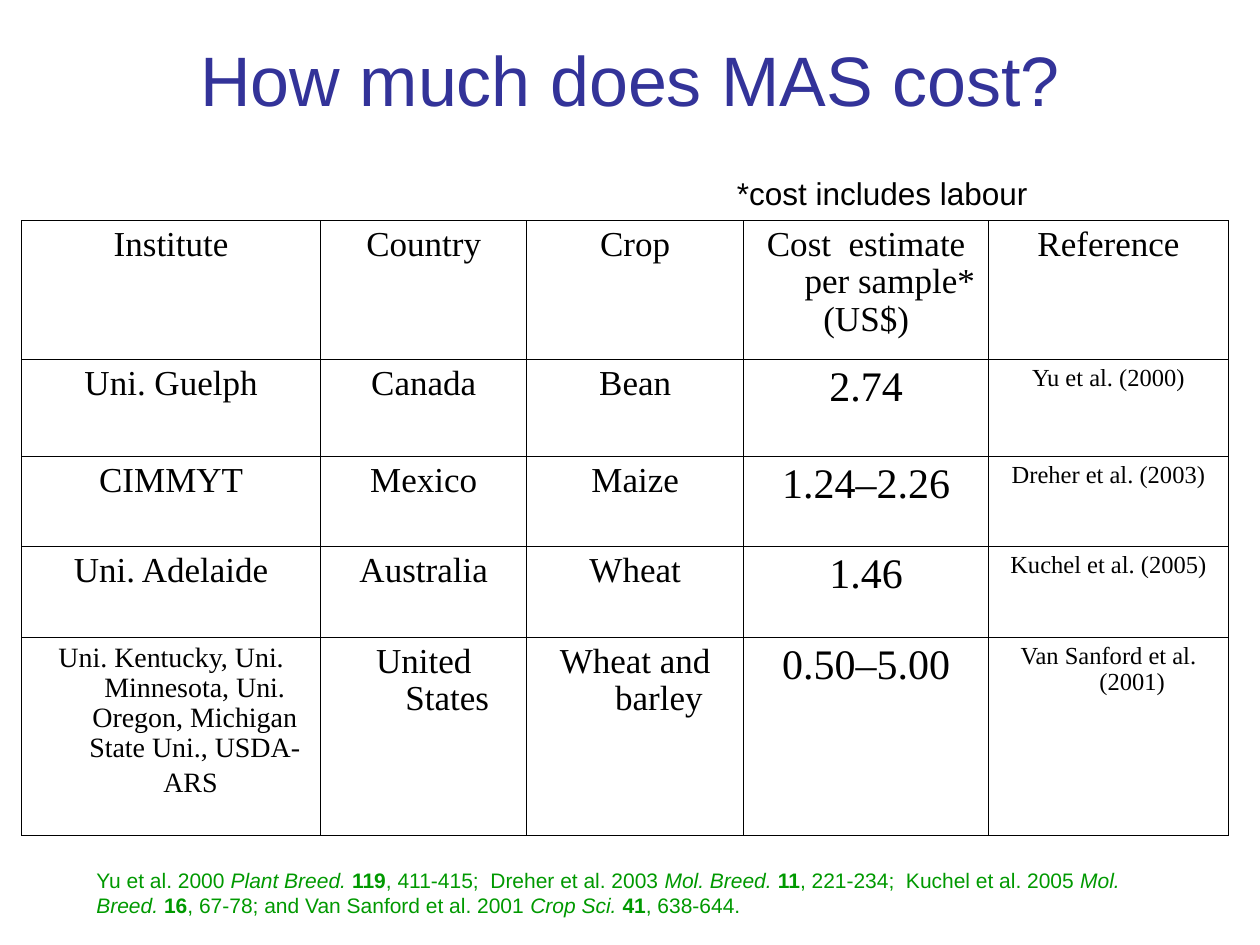
import pptx
import pptx.util
import pptx.dml.color
import pptx.enum.text
import pptx.oxml.ns
import lxml.etree

Pt = pptx.util.Pt
CENTER = pptx.enum.text.PP_ALIGN.CENTER


def set_font(font, name, size, color):
    font.name = name
    font.size = Pt(size)
    font.color.rgb = pptx.dml.color.RGBColor.from_string(color)


def add_border(cell, side, color, width):
    """Draw one side of a cell: L, R, T or B."""
    qn = pptx.oxml.ns.qn
    properties = cell._tc.get_or_add_tcPr()
    line = lxml.etree.SubElement(properties, qn(f"a:ln{side}"), w=str(Pt(width)))
    fill = lxml.etree.SubElement(line, qn("a:solidFill"))
    lxml.etree.SubElement(fill, qn("a:srgbClr"), val=color)


deck = pptx.Presentation()
deck.slide_width, deck.slide_height = Pt(720), Pt(540)
page = deck.slides.add_slide(deck.slide_layouts[6])

# Title
title = page.shapes.add_textbox(Pt(36), Pt(0), Pt(648), Pt(90))
title.text_frame.word_wrap = True
title.text_frame.vertical_anchor = pptx.enum.text.MSO_ANCHOR.MIDDLE
para = title.text_frame.paragraphs[0]
para.text = "How much does MAS cost?"
para.alignment = CENTER
set_font(para.font, "Arial", 40, "333399")

# Cost table
rows = [
    ["Institute", "Country", "Crop", "Cost  estimate per sample*\n(US$)", "Reference"],
    ["Uni. Guelph", "Canada", "Bean", "2.74", "Yu et al. (2000)"],
    ["CIMMYT", "Mexico", "Maize", "1.24–2.26", "Dreher et al. (2003)"],
    ["Uni. Adelaide", "Australia", "Wheat", "1.46", "Kuchel et al. (2005)"],
    ["Uni. Kentucky, Uni. Minnesota, Uni. Oregon, Michigan State Uni., USDA-ARS",
     "United States", "Wheat and barley", "0.50–5.00", "Van Sanford et al. (2001)"],
]
column_widths = [171, 117.7, 124, 140, 137]
row_heights = [79.4, 55.4, 51.6, 51.8, 113]
body_sizes = [20, 20, 20, 24, 14]
long_name_size = 16

table = page.shapes.add_table(
    len(rows), len(column_widths), Pt(12.3), Pt(126),
    Pt(sum(column_widths)), Pt(sum(row_heights))).table
table.first_row = False
table.horz_banding = False
for column, width in zip(table.columns, column_widths):
    column.width = Pt(width)
for row, height in zip(table.rows, row_heights):
    row.height = Pt(height)

for row_index, texts in enumerate(rows):
    for column_index, text in enumerate(texts):
        cell = table.cell(row_index, column_index)
        for side in "LRTB":
            add_border(cell, side, "000000", 0.45)
        cell.fill.background()
        cell.text_frame.text = text
        size = body_sizes[column_index] if row_index else 20
        for para in cell.text_frame.paragraphs:
            para.alignment = CENTER
            para.line_spacing = 0.96
            para._p.get_or_add_pPr().set("marL", str(Pt(27)))
            para._p.get_or_add_pPr().set("indent", str(Pt(-27)))
            set_font(para.font, "Times New Roman", size, "000000")

# The long list of institutes is smaller, with a full-size space at its end
para = table.cell(4, 0).text_frame.paragraphs[0]
para.runs[0].font.size = Pt(long_name_size)
para.add_run().text = " "

# Note above the cost column
note = page.shapes.add_textbox(Pt(414), Pt(96), Pt(204), Pt(29))
note.text_frame.word_wrap = True
para = note.text_frame.paragraphs[0]
para.text = "*cost includes labour"
set_font(para.font, "Arial", 18, "000000")

# Citations: plain text, journal in italics, volume in bold
citations = [
    ("Yu et al. 2000 ", "Plant Breed. ", "119"),
    (", 411-415;  Dreher et al. 2003 ", "Mol. Breed. ", "11"),
    (", 221-234;  Kuchel et al. 2005 ", "Mol. Breed. ", "16"),
    (", 67-78; and Van Sanford et al. 2001 ", "Crop Sci. ", "41"),
    (", 638-644.",),
]
sources = page.shapes.add_textbox(Pt(48), Pt(492), Pt(624), Pt(36))
sources.text_frame.word_wrap = True
para = sources.text_frame.paragraphs[0]
set_font(para.font, "Arial", 12, "009900")
for parts in citations:
    for part, style in zip(parts, ("plain", "italic", "bold")):
        span = para.add_run()
        span.text = part
        if style == "italic":
            span.font.italic = True
        elif style == "bold":
            span.font.bold = True

deck.save("out.pptx")
